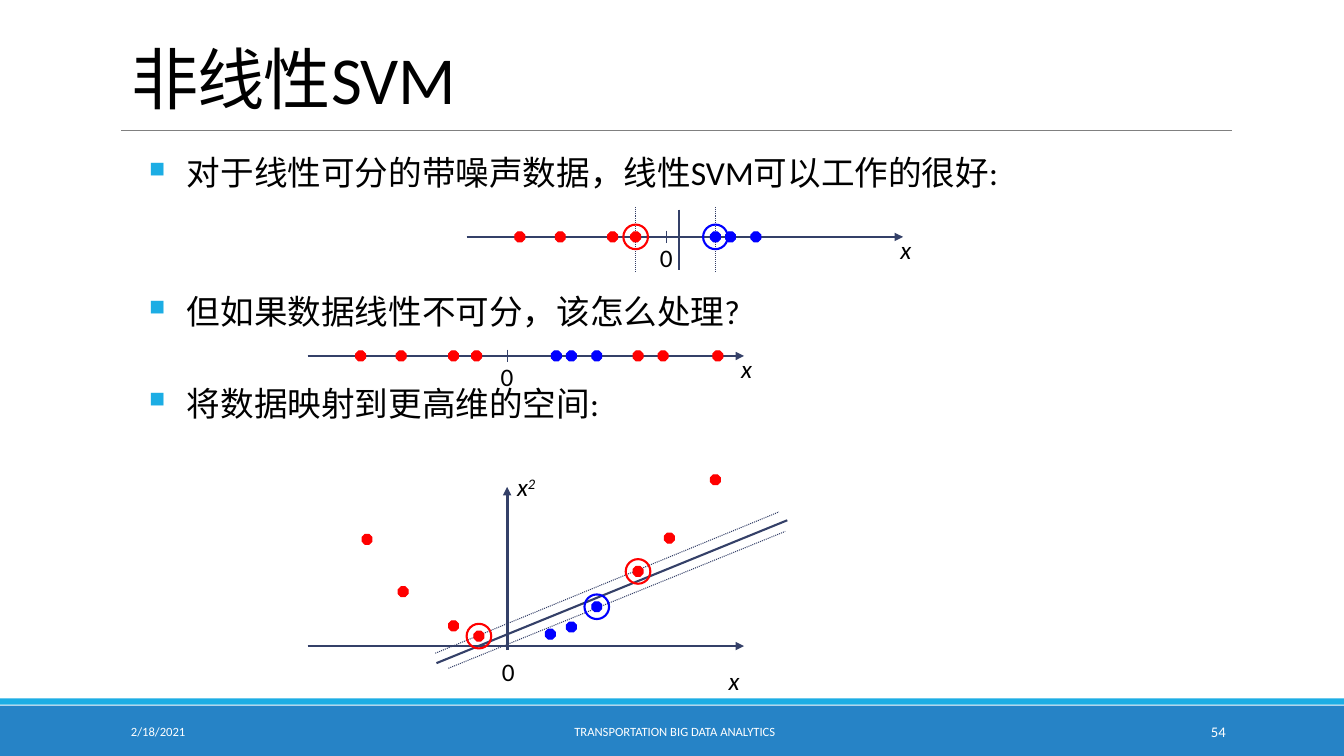
from lxml import etree
from pptx import Presentation
from pptx.dml.color import RGBColor
from pptx.enum.dml import MSO_LINE
from pptx.enum.shapes import MSO_CONNECTOR, MSO_SHAPE
from pptx.enum.text import MSO_ANCHOR as Anchor, MSO_AUTO_SIZE, PP_ALIGN as Align
from pptx.oxml import parse_xml
from pptx.oxml.ns import nsdecls, qn
from pptx.util import Cm, Pt

RED, BLUE, NAVY, BLACK, WHITE = "FF0000", "0000FF", "344068", "000000", "FFFFFF"
color = RGBColor.from_string


def write(paragraph, text, size=18, hue=BLACK, italic=False, align=Align.LEFT, **attributes):
    paragraph.alignment = align
    run = paragraph.add_run()
    run.text = text
    run.font.name = "Calibri"
    run.font.size = Pt(size)
    run.font.italic = italic
    run.font.color.rgb = color(hue)
    for name, value in attributes.items():
        run._r.get_or_add_rPr().set(name, value)


def add_frame(left, top, width, height, anchor=Anchor.TOP):
    frame = slide.shapes.add_textbox(Cm(left), Cm(top), Cm(width), Cm(height)).text_frame
    frame.word_wrap = True
    frame.vertical_anchor = anchor
    return frame


presentation = Presentation()
presentation.slide_width = Cm(33.87)
presentation.slide_height = Cm(19.05)
slide = presentation.slides.add_slide(presentation.slide_layouts[5])

for top, height, hue in [(17.78, 1.27, "2683C6"), (17.6, 0.16, "1CADE4")]:
    band = slide.shapes.add_shape(MSO_SHAPE.RECTANGLE, 0, Cm(top), Cm(33.87), Cm(height))
    band.shadow.inherit = False
    band.fill.solid()
    band.fill.fore_color.rgb = color(hue)
    band.line.fill.background()

title = slide.shapes.title
title.left, title.top, title.width, title.height = Cm(3.05), Cm(0.33), Cm(27.94), Cm(2.77)
title.text_frame.auto_size = MSO_AUTO_SIZE.NONE
title.text_frame.vertical_anchor = Anchor.BOTTOM
title.text_frame.paragraphs[0].line_spacing = 0.85
write(title.text_frame.paragraphs[0], "非线性SVM", 48, spc="-50")

footers = [
    (3.05, 6.86, "2/18/2021", 9, Align.LEFT),
    (10.31, 13.39, "TRANSPORTATION BIG DATA ANALYTICS", 9, Align.CENTER),
    (27.51, 3.63, "54", 10.5, Align.RIGHT),
]
for left, width, text, size, align in footers:
    frame = add_frame(left, 17.93, width, 1.02, Anchor.MIDDLE)
    write(frame.paragraphs[0], text, size, WHITE, align=align)

body = add_frame(3.51, 3.71, 27.15, 13.97)
points = [
    ("对于线性可分的带噪声数据，线性SVM可以工作的很好:", 0),
    ("但如果数据线性不可分，该怎么处理?", 70),
    ("将数据映射到更高维的空间:", 37),
]
for index, (text, space) in enumerate(points):
    paragraph = body.add_paragraph() if index else body.paragraphs[0]
    properties = paragraph._p.get_or_add_pPr()
    properties.set("marL", str(Cm(0.95)))
    properties.set("indent", str(Cm(-0.95)))
    for xml in (
        '<a:buClr {}><a:srgbClr val="1CADE4"/></a:buClr>',
        '<a:buSzPct {} val="65000"/>',
        '<a:buChar {} char="■"/>',
    ):
        properties.append(parse_xml(xml.format(nsdecls("a"))))
    paragraph.space_before = Pt(space)
    write(paragraph, text, 24)

lines = [(3.05, 3.28, 31.04, 3.28, 0.5, "808080", None, False)]
dots, rings, labels = [], [], []

red_offsets = [1.34, 2.36, 3.68, 4.26]
blue_offsets = [6.27, 6.65, 7.29]
far_red_offsets = [8.33, 8.96, 10.34]
number_lines = [
    (11.76, 5.97, red_offsets),
    (7.75, 8.97, red_offsets + far_red_offsets),
]
for left, axis, reds in number_lines:
    zero = left + 5.03
    lines.append((left, axis, left + 11, axis, 2, NAVY, None, True))
    lines.append((zero, axis - 0.16, zero, axis + 0.16, 0.75, NAVY, None, False))
    dots += [(left + offset, axis, RED) for offset in reds]
    dots += [(left + offset, axis, BLUE) for offset in blue_offsets]
    labels += [(left + 4.62, axis, 0.97, "0"), (left + 10.68, axis - 0.19, 1.27, "x")]

for x, hue in [(16.02, RED), (18.03, BLUE)]:
    rings.append((x, 5.97, hue))
    lines.append((x, 6.86, x, 5.21, 0.75, NAVY, MSO_LINE.ROUND_DOT, False))

lines += [
    (17.12, 5.28, 17.12, 6.81, 1.5, NAVY, None, False),
    (7.75, 16.28, 18.75, 16.28, 2, NAVY, None, True),
    (12.78, 16.38, 12.78, 12.27, 2, NAVY, None, True),
    (11, 16.71, 19.84, 13.11, 1.5, NAVY, None, False),
    (10.97, 16.46, 19.63, 12.9, 0.75, NAVY, MSO_LINE.ROUND_DOT, False),
    (11.3, 16.84, 19.79, 13.39, 0.75, NAVY, MSO_LINE.ROUND_DOT, False),
]
support_vectors = [(12.07, 16.03, RED), (16.08, 14.4, RED), (15.04, 15.29, BLUE)]
rings += support_vectors
dots += support_vectors + [
    (9.25, 13.59, RED), (10.16, 14.91, RED), (11.43, 15.77, RED),
    (16.87, 13.56, RED), (18.03, 12.09, RED),
    (13.87, 15.98, BLUE), (14.4, 15.8, BLUE),
]
labels += [(12.4, 16.41, 0.97, "0"), (18.11, 16.64, 1.27, "x"), (12.78, 11.76, 1.27, "x²")]

for x1, y1, x2, y2, width, hue, dash, arrow in lines:
    line = slide.shapes.add_connector(MSO_CONNECTOR.STRAIGHT, Cm(x1), Cm(y1), Cm(x2), Cm(y2))
    line.line.width = Pt(width)
    line.line.color.rgb = color(hue)
    if dash:
        line.line.dash_style = dash
    if arrow:
        etree.SubElement(line.line._get_or_add_ln(), qn("a:tailEnd"), type="triangle")
    etree.SubElement(line._element.spPr, qn("a:effectLst"))

marks = [(MSO_SHAPE.OCTAGON, 0.25, 0.75, dots), (MSO_SHAPE.OVAL, 0.62, 1.5, rings)]
for kind, size, width, centres in marks:
    for x, y, hue in centres:
        mark = slide.shapes.add_shape(kind, Cm(x - size / 2), Cm(y - size / 2), Cm(size), Cm(size))
        mark.shadow.inherit = False
        mark.line.width = Pt(width)
        mark.line.color.rgb = color(hue)
        if kind == MSO_SHAPE.OCTAGON:
            mark.fill.solid()
            mark.fill.fore_color.rgb = color(hue)
        else:
            mark.fill.background()

for left, top, width, text in labels:
    paragraph = add_frame(left, top, width, 1.02).paragraphs[0]
    write(paragraph, text[0], italic=text != "0")
    if text == "x²":
        write(paragraph, "2", italic=True, baseline="30000")

presentation.save("out.pptx")
